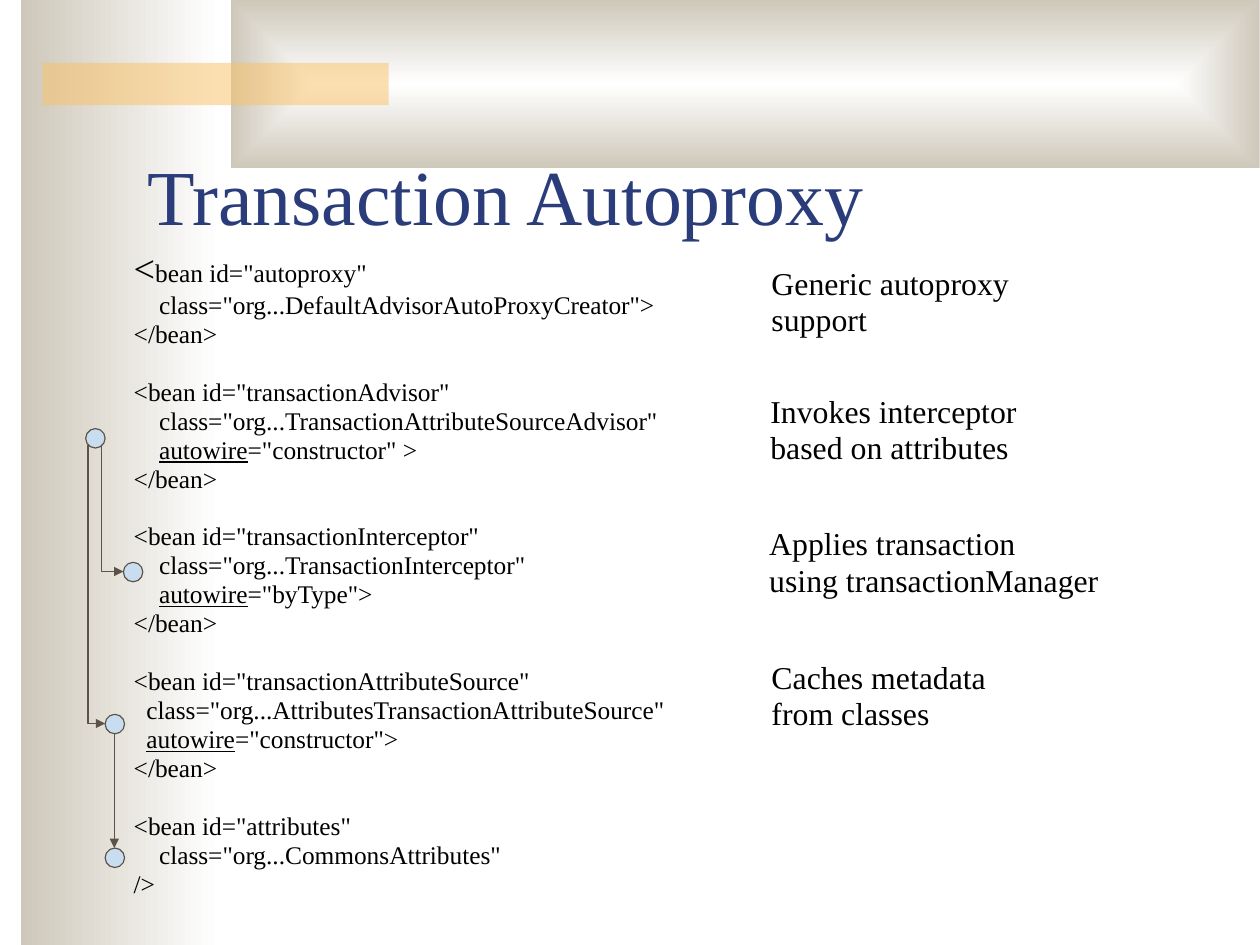
from dataclasses import dataclass

from lxml.etree import SubElement
from pptx import Presentation
from pptx.dml.color import RGBColor
from pptx.enum.shapes import MSO_CONNECTOR, MSO_SHAPE
from pptx.enum.text import MSO_ANCHOR, PP_ALIGN
from pptx.oxml.ns import qn
from pptx.util import Cm, Inches, Pt

FONT = "Times New Roman"
BLACK, NAVY, GOLD = "000000", "2A3D7A", "FAC164"
WHITE, SAND = "FFFFFF", "CEC8BA"
NODE_FILL, NODE_LINE = "C9DDF1", "5B5249"
NODE_SIZE = 0.17
LINE_WIDTH = Pt(0.75)
BEAN_GAP = Pt(18.2)
NO_MARGINS = {
    "margin_left": 0, "margin_top": 0, "margin_right": 0, "margin_bottom": 0,
    "word_wrap": True,
}


@dataclass
class Band:
    left: float
    top: float
    width: float
    height: float


@dataclass
class Note:
    left: float
    top: float
    lines: tuple[str, str]


@dataclass
class Node:
    left: float
    top: float


@dataclass
class Arrow:
    begin: tuple[float, float]
    end: tuple[float, float]


SIDE_BAND = Band(0.18, 0, 1.74, 8.27)
TOP_BAND = Band(2.02, 0, 9, 1.47)
GOLD_BAND = Band(0.37, 0.55, 3.03, 0.37)

BEANS = [
    ['<bean id="autoproxy"',
     '    class="org...DefaultAdvisorAutoProxyCreator">',
     "</bean>"],
    ['<bean id="transactionAdvisor"',
     '    class="org...TransactionAttributeSourceAdvisor"',
     '    autowire="constructor" >',
     "</bean>"],
    ['<bean id="transactionInterceptor"',
     '    class="org...TransactionInterceptor"',
     '    autowire="byType">',
     "</bean>"],
    ['<bean id="transactionAttributeSource"',
     '  class="org...AttributesTransactionAttributeSource"',
     '  autowire="constructor">',
     "</bean>"],
    ['<bean id="attributes"',
     '    class="org...CommonsAttributes"',
     "/>"],
]
NOTES = [
    Note(6.75, 2.33, ("Generic autoproxy", "support")),
    Note(6.74, 3.45, ("Invokes interceptor", "based on attributes")),
    Note(6.73, 4.61, ("Applies transaction", "using transactionManager")),
    Note(6.75, 5.78, ("Caches metadata", "from classes")),
]
NODES = [Node(0.75, 3.75), Node(1.08, 4.92), Node(0.92, 6.25), Node(0.92, 7.42)]
ARROWS = [
    Arrow((0.89, 3.89), (1.08, 5)),
    Arrow((0.77, 3.89), (0.92, 6.33)),
    Arrow((1, 6.42), (1, 7.42)),
]


def color(value: str) -> RGBColor:
    return RGBColor.from_string(value)


def set_format(target, values: dict) -> None:
    for name, value in values.items():
        setattr(target, name, value)


def add_run(paragraph, text: str, size: float, font_color: str = BLACK, **extra) -> None:
    run = paragraph.add_run()
    run.text = text
    set_format(run.font, {"name": FONT, "size": Pt(size), **extra})
    run.font.color.rgb = color(font_color)


def add_text_box(shapes, left: float, top: float, width: float, height: float):
    box = shapes.add_textbox(Inches(left), Inches(top), Inches(width), Inches(height))
    set_format(box.text_frame, NO_MARGINS)
    return box.text_frame


def next_paragraph(frame, is_first: bool):
    paragraph = frame.paragraphs[0] if is_first else frame.add_paragraph()
    paragraph.line_spacing = 0.95
    return paragraph


def add_band(shapes, band: Band):
    shape = shapes.add_shape(
        MSO_SHAPE.RECTANGLE, Inches(band.left), Inches(band.top),
        Inches(band.width), Inches(band.height))
    shape.shadow.inherit = False
    shape.line.fill.background()
    return shape


def fill_gradient(shape) -> None:
    shape.fill.gradient()
    shape.fill.gradient_angle = 180
    for stop, position, value in zip(shape.fill.gradient_stops, (0, 1), (WHITE, SAND)):
        stop.position = position
        stop.color.rgb = color(value)


def add_bands(shapes) -> None:
    fill_gradient(add_band(shapes, SIDE_BAND))

    # The top band shades from its centre to its edges
    top_band = add_band(shapes, TOP_BAND)
    fill_gradient(top_band)
    gradient = top_band._element.spPr.find(qn("a:gradFill"))
    gradient.remove(gradient.find(qn("a:lin")))
    shade = SubElement(gradient, qn("a:path"), {"path": "rect"})
    SubElement(shade, qn("a:fillToRect"), dict.fromkeys("ltrb", "50000"))

    # The gold band is half transparent
    gold_band = add_band(shapes, GOLD_BAND)
    gold_band.fill.solid()
    gold_band.fill.fore_color.rgb = color(GOLD)
    gold = gold_band._element.spPr.find(".//" + qn("a:srgbClr"))
    SubElement(gold, qn("a:alpha"), {"val": "50000"})


def add_title(slide) -> None:
    title = slide.shapes.title
    set_format(title, {"left": Inches(1.29), "top": Inches(1.01),
                       "width": Inches(9.37), "height": Inches(1.38)})
    set_format(title.text_frame, {**NO_MARGINS, "vertical_anchor": MSO_ANCHOR.MIDDLE})
    paragraph = title.text_frame.paragraphs[0]
    paragraph.alignment = PP_ALIGN.LEFT
    add_run(paragraph, "Transaction Autoproxy", 49, NAVY)
    slide.shapes._spTree.append(title._element)


def add_code(shapes) -> None:
    frame = add_text_box(shapes, 1.17, 2.17, 5.69, 5.7)
    for bean_index, bean in enumerate(BEANS):
        for line_index, line in enumerate(bean):
            is_first = bean_index == line_index == 0
            paragraph = next_paragraph(frame, is_first)
            if line_index == 0 and not is_first:
                paragraph.space_before = BEAN_GAP
            indent, keyword, rest = line.partition("autowire")
            if is_first:
                add_run(paragraph, line[0], 24)
                add_run(paragraph, line[1:], 16)
            elif keyword:
                add_run(paragraph, indent, 16)
                add_run(paragraph, keyword, 16, underline=True)
                add_run(paragraph, rest, 16)
            else:
                add_run(paragraph, line, 16)


def add_note(shapes, note: Note) -> None:
    frame = add_text_box(shapes, note.left, note.top, 3, 0.63)
    for index, line in enumerate(note.lines):
        add_run(next_paragraph(frame, index == 0), line, 20)


def add_node(shapes, node: Node) -> None:
    shape = shapes.add_shape(
        MSO_SHAPE.FLOWCHART_CONNECTOR, Inches(node.left), Inches(node.top),
        Inches(NODE_SIZE), Inches(NODE_SIZE))
    shape.shadow.inherit = False
    shape.fill.solid()
    shape.fill.fore_color.rgb = color(NODE_FILL)
    shape.line.color.rgb = color(NODE_LINE)
    shape.line.width = LINE_WIDTH


def add_arrow(shapes, arrow: Arrow) -> None:
    (x1, y1), (x2, y2) = arrow.begin, arrow.end
    bent = x1 != x2
    kind = MSO_CONNECTOR.ELBOW if bent else MSO_CONNECTOR.STRAIGHT
    connector = shapes.add_connector(kind, Inches(x1), Inches(y1), Inches(x2), Inches(y2))
    properties = connector._element.spPr
    if bent:
        # A turned single bend runs down first, then right
        across, down = x2 - x1, y2 - y1
        set_format(connector, {
            "left": Inches((x1 + x2 - down) / 2), "top": Inches((y1 + y2 - across) / 2),
            "width": Inches(down), "height": Inches(across)})
        properties.find(qn("a:prstGeom")).set("prst", "bentConnector2")
        transform = properties.find(qn("a:xfrm"))
        transform.set("rot", str(270 * 60000))
        transform.set("flipH", "1")
    connector.line.color.rgb = color(NODE_LINE)
    connector.line.width = LINE_WIDTH
    SubElement(properties.find(qn("a:ln")), qn("a:tailEnd"), {"type": "triangle"})
    SubElement(properties, qn("a:effectLst"))


def main() -> None:
    presentation = Presentation()
    presentation.slide_width, presentation.slide_height = Cm(28), Cm(21)
    slide = presentation.slides.add_slide(presentation.slide_layouts[5])
    add_bands(slide.shapes)
    add_title(slide)
    add_code(slide.shapes)
    for draw, items in ((add_note, NOTES), (add_node, NODES), (add_arrow, ARROWS)):
        for item in items:
            draw(slide.shapes, item)
    presentation.save("out.pptx")


if __name__ == "__main__":
    main()
